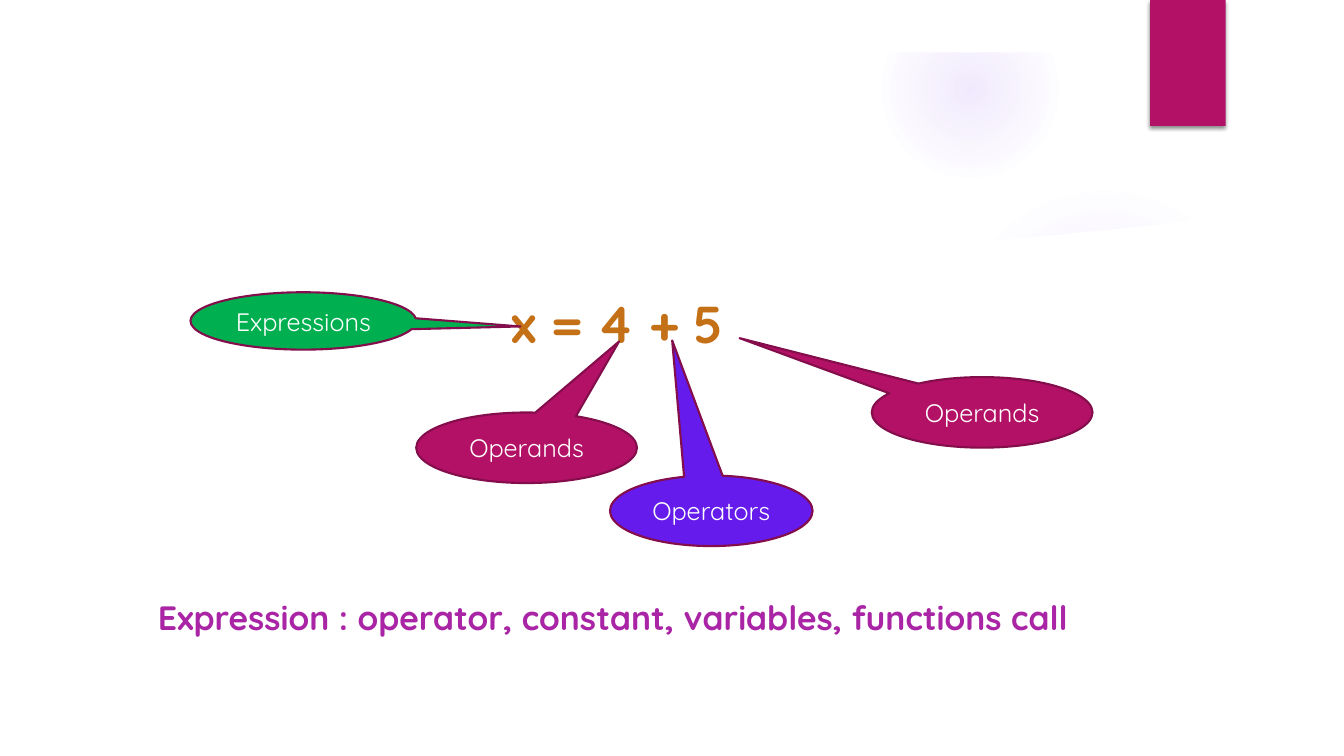
import pptx
import pptx.dml.color
import pptx.enum.shapes
import pptx.enum.text
import pptx.oxml
import pptx.util
from pptx.oxml.ns import nsdecls

Pt = pptx.util.Pt
RGBColor = pptx.dml.color.RGBColor
SHAPES = pptx.enum.shapes.MSO_SHAPE

WHITE = RGBColor(0xFF, 0xFF, 0xFF)
MAGENTA = RGBColor(0xB3, 0x11, 0x66)
DARK_MAGENTA = RGBColor(0x84, 0x0D, 0x4B)
VIOLET = RGBColor(0x65, 0x1B, 0xEB)
GREEN = RGBColor(0x00, 0xB0, 0x50)
ORANGE = RGBColor(0xC4, 0x70, 0x16)
PURPLE = RGBColor(0xA9, 0x25, 0xA5)
GLOW = RGBColor(0x9B, 0x6B, 0xF2)
FONT = "Quicksand"


def add_plain(page, kind, box, color):
    """Add a preset shape with a solid fill, no line and no shadow."""
    shape = page.shapes.add_shape(kind, *map(Pt, box))
    shape.shadow.inherit = False
    shape.fill.solid()
    shape.fill.fore_color.rgb = color
    shape.line.fill.background()
    return shape


def add_glow(page, box, stops):
    """Add a circle that fades out from its centre by (position, alpha) stops."""
    circle = add_plain(page, SHAPES.OVAL, box, GLOW)
    marks = "".join(
        f'<a:gs pos="{position * 1000}"><a:srgbClr val="{GLOW}">'
        f'<a:alpha val="{alpha * 1000}"/></a:srgbClr></a:gs>'
        for position, alpha in stops)
    gradient = pptx.oxml.parse_xml(
        f'<a:gradFill {nsdecls("a")}><a:gsLst>{marks}</a:gsLst><a:path path="circle">'
        '<a:fillToRect l="50000" t="50000" r="50000" b="50000"/></a:path></a:gradFill>')
    properties = circle.fill._xPr
    properties.replace(properties.find(pptx.oxml.ns.qn("a:solidFill")), gradient)


def add_backdrop(page, box):
    """Place the glows, the white curved panel and the white frame over the box."""
    left, top, width, height = box
    add_glow(page, (left + 630, top + 0.7, 126, 126), [(0, 14), (36, 7), (73, 0)])
    add_glow(page, (left + 677.5, top + 131.8, 221.8, 221.8), [(0, 7), (36, 6), (69, 0)])

    curve = [(924, 147), (864, 156.2), (803.5, 163.4), (743, 169.2), (683, 173.5),
             (605, 177), (510, 178.6), (420, 177.4), (320, 173.5), (204, 165.6),
             (115, 157), (36, 147)]
    outline = [(left + x, top + y) for x, y in curve]
    outline += [(left + 36, top + 504), (left + 924, top + 504)]
    builder = page.shapes.build_freeform(*outline[0], scale=Pt(1))
    builder.add_line_segments(outline[1:], close=True)
    panel = builder.convert_to_shape()
    panel.shadow.inherit = False
    panel.fill.solid()
    panel.fill.fore_color.rgb = WHITE
    panel.line.fill.background()

    frame = add_plain(page, SHAPES.FRAME, box, WHITE)
    frame.adjustments[0] = 37.4 / height


def add_bookmark(page, box):
    """Add the magenta tab with its soft shadow."""
    tab = add_plain(page, SHAPES.RECTANGLE, box, MAGENTA)
    effects = tab._element.spPr.find(pptx.oxml.ns.qn("a:effectLst"))
    effects.append(pptx.oxml.parse_xml(
        f'<a:outerShdw {nsdecls("a")} blurRad="{Pt(3)}" dist="{Pt(2)}" dir="5400000" '
        'rotWithShape="0"><a:srgbClr val="000000"><a:alpha val="45000"/>'
        '</a:srgbClr></a:outerShdw>'))


def write_centred(shape, text, size, color, bold=False):
    """Write one centred paragraph into the shape."""
    frame = shape.text_frame
    frame.text = text
    frame.word_wrap = True
    para = frame.paragraphs[0]
    para.alignment = pptx.enum.text.PP_ALIGN.CENTER
    font = para.runs[0].font
    font.name, font.size, font.bold = FONT, Pt(size), bold
    font.color.rgb = color


def add_statement(page, box, text, size, color):
    """Add a bold centred line of text without margins."""
    statement = page.shapes.add_textbox(*map(Pt, box))
    write_centred(statement, text, size, color, bold=True)
    frame = statement.text_frame
    frame.margin_left = frame.margin_right = frame.margin_top = frame.margin_bottom = 0


def add_callout(page, box, text, color, tip):
    """Add an oval callout whose tail ends at the tip, relative to its centre."""
    callout = add_plain(page, SHAPES.OVAL_CALLOUT, box, color)
    callout.adjustments[0], callout.adjustments[1] = tip
    callout.line.color.rgb = DARK_MAGENTA
    callout.line.width = Pt(1.5)
    write_centred(callout, text, 18, WHITE)
    callout.text_frame.vertical_anchor = pptx.enum.text.MSO_ANCHOR.MIDDLE


def add_expression_diagram(page, box):
    """Place the expression, its labelled parts and the summary line in the box."""
    left, top, width, height = box
    add_statement(page, (left + 3, top + 3.4, width, 46), "x = 4 + 5", 37, ORANGE)
    add_statement(page, (left, top + 221, width, 30),
                  "Expression : operator, constant, variables, functions call", 24.1, PURPLE)
    callouts = [
        ("Operands", MAGENTA, (206.6, 89.5, 157.7, 50.4), (0.419, -1.507)),
        ("Operands", MAGENTA, (532, 64.2, 157.7, 50.4), (-1.099, -1.053)),
        ("Operators", VIOLET, (345, 134.5, 144.7, 50.4), (-0.193, -2.415)),
        ("Expressions", GREEN, (45.4, 3.6, 161.3, 41), (0.961, 0.096)),
    ]
    for text, color, (x, y, wide, high), tip in callouts:
        add_callout(page, (left + x, top + y, wide, high), text, color, tip)


def main():
    """Build the slide and save the deck."""
    deck = pptx.Presentation()
    deck.slide_width, deck.slide_height = Pt(960), Pt(540)
    page = deck.slides.add_slide(deck.slide_layouts[6])
    add_backdrop(page, (0, 0, 960, 540))
    add_bookmark(page, (821.5, 0, 54, 90))
    add_expression_diagram(page, (90.7, 205.2, 694.8, 269.3))
    deck.save("out.pptx")


if __name__ == "__main__":
    main()
